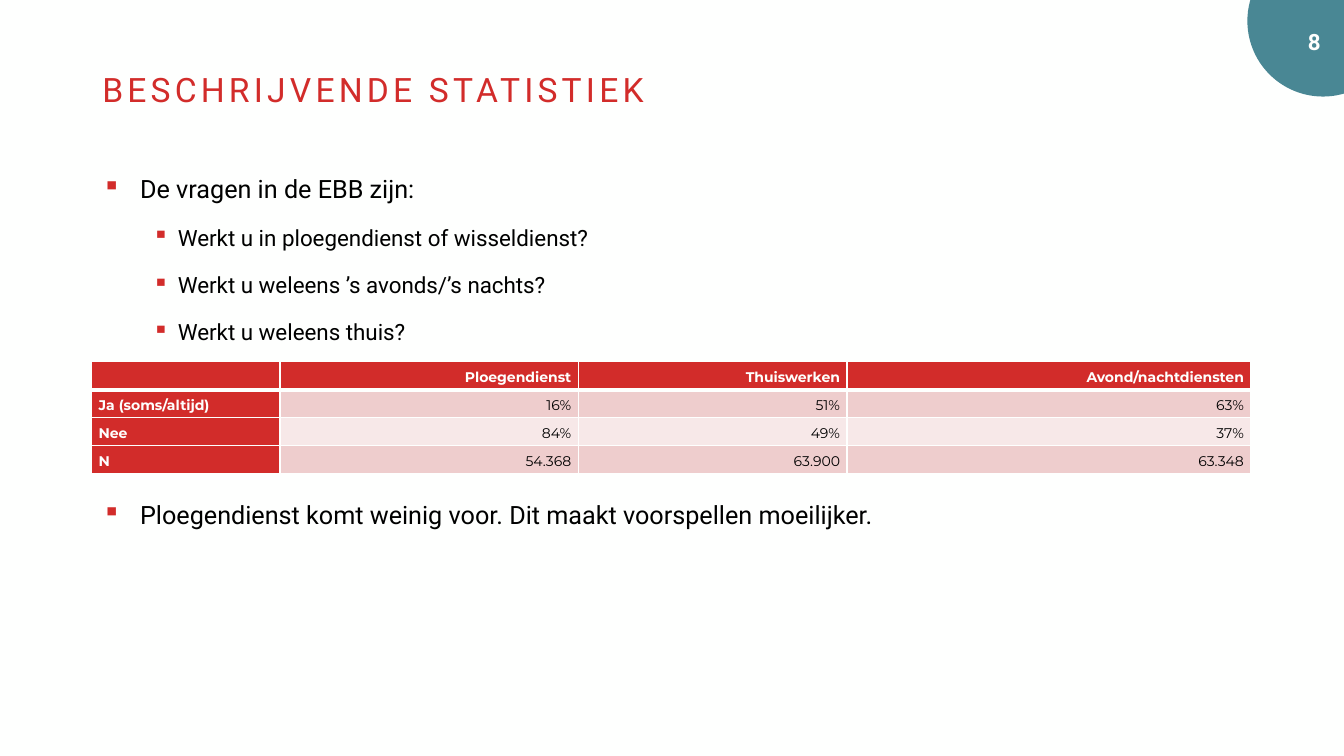
from lxml.etree import SubElement
from pptx import Presentation
from pptx.dml.color import RGBColor
from pptx.enum.shapes import MSO_SHAPE
from pptx.enum.text import PP_ALIGN
from pptx.oxml.ns import qn
from pptx.util import Pt

RED = RGBColor(0xD2, 0x2C, 0x2A)
ROSE = RGBColor(0xEE, 0xCD, 0xCD)
PALE = RGBColor(0xF7, 0xE8, 0xE8)
TEAL = RGBColor(0x49, 0x87, 0x94)
WHITE = RGBColor(0xFE, 0xFF, 0xFE)
BLACK = RGBColor(0, 0, 0)


def add_box(left, top, width, height):
    box = slide.shapes.add_textbox(Pt(left), Pt(top), Pt(width), Pt(height))
    box.text_frame.word_wrap = True
    return box.text_frame


def style(para, text, size, color, face="Roboto", bold=False):
    para.text = text
    font = para.font
    font.name, font.size, font.bold = face, Pt(size), bold
    font.color.rgb = color


deck = Presentation()
deck.slide_width, deck.slide_height = Pt(960), Pt(540)
slide = deck.slides.add_slide(deck.slide_layouts[6])
slide.background.fill.solid()
slide.background.fill.fore_color.rgb = WHITE

disc = slide.shapes.add_shape(MSO_SHAPE.OVAL, Pt(891), Pt(-39), Pt(108), Pt(108))
disc.shadow.inherit = False
disc.fill.solid()
disc.fill.fore_color.rgb = TEAL
disc.line.fill.background()

number = add_box(820, 16.5, 130.5, 26.5).paragraphs[0]
style(number, "8", 16, WHITE, bold=True)
number.alignment = PP_ALIGN.RIGHT

title = add_box(66, 49, 828, 24).paragraphs[0]
style(title, "BESCHRIJVENDE STATISTIEK", 24, RED)
title.line_spacing = 0.9
title.space_before = Pt(10)
title.runs[0].font._element.set("spc", "300")

points = [
    (0, "De vragen in de EBB zijn:", 10),
    (1, "Werkt u in ploegendienst of wisseldienst?", 5),
    (1, "Werkt u weleens ’s avonds/’s nachts?", 5),
    (1, "Werkt u weleens thuis?", 5),
    (0, "Ploegendienst komt weinig voor. Dit maakt voorspellen moeilijker.", 112),
]
body = add_box(66, 122.5, 828, 345.5)
for i, (level, text, gap) in enumerate(points):
    para = body.add_paragraph() if i else body.paragraphs[0]
    style(para, text, 16 if level else 18, BLACK)
    para.level = level
    para.line_spacing = 1.5 if level else 0.9
    para.space_before = Pt(gap)
    props = para._p.get_or_add_pPr()
    props.set("marL", str(Pt(54 if level else 27)))
    props.set("indent", str(Pt(-18 if level else -27)))
    tint = props.makeelement(qn("a:buClr"))
    SubElement(tint, qn("a:srgbClr"), val=str(RED))
    mark = props.makeelement(qn("a:buChar"), char="▪")
    props.find(qn("a:defRPr")).addprevious(tint)
    tint.addnext(mark)

rows = [
    ("", "Ploegendienst", "Thuiswerken", "Avond/nachtdiensten"),
    ("Ja (soms/altijd)", "16%", "51%", "63%"),
    ("Nee", "84%", "49%", "37%"),
    ("N", "54.368", "63.900", "63.348"),
]
widths = [134.5, 213, 192, 288.5]
table = slide.shapes.add_table(
    len(rows), len(widths), Pt(65.5), Pt(258.5), Pt(sum(widths)), Pt(80)).table
for col, width in zip(table.columns, widths):
    col.width = Pt(width)
for r, row in enumerate(rows):
    table.rows[r].height = Pt(20)
    for c, text in enumerate(row):
        cell = table.cell(r, c)
        head = r == 0 or c == 0
        cell.margin_left = cell.margin_right = Pt(5)
        cell.margin_top = cell.margin_bottom = Pt(2.6)
        para = cell.text_frame.paragraphs[0]
        style(para, text, 10, WHITE if head else BLACK, "Montserrat", head)
        para.line_spacing = 1.2
        para.alignment = PP_ALIGN.RIGHT if c else PP_ALIGN.LEFT
        if not text:
            para._p.get_or_add_endParaRPr().set("sz", "1000")
        props = cell._tc.get_or_add_tcPr()
        for side in "LRTB":
            thick = 3 if r == 0 and side == "B" else 1
            edge = SubElement(props, qn("a:ln" + side), w=str(Pt(thick)))
            paint = SubElement(edge, qn("a:solidFill"))
            SubElement(paint, qn("a:srgbClr"), val=str(WHITE))
        cell.fill.solid()
        cell.fill.fore_color.rgb = RED if head else ROSE if r % 2 else PALE

deck.save("out.pptx")
